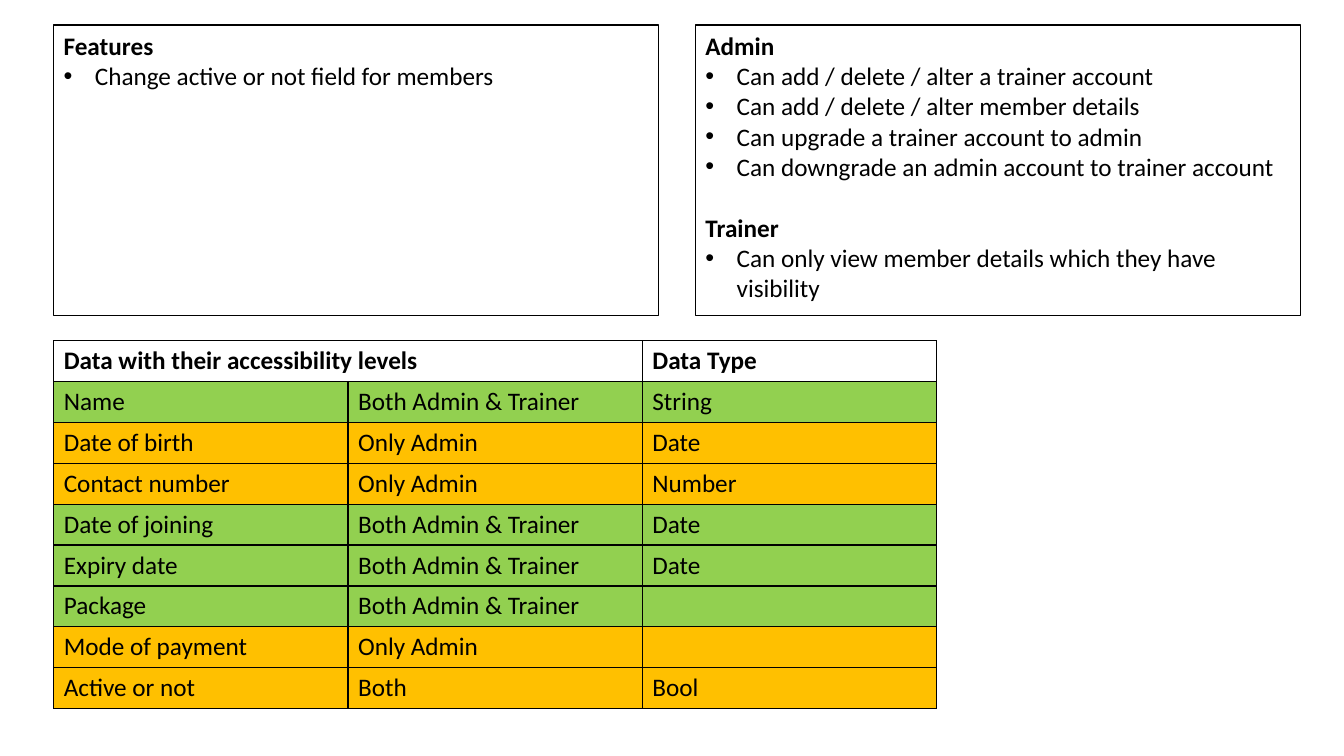
"""Build the slide of user roles, features and data accessibility levels."""
from dataclasses import dataclass

from lxml import etree
from pptx import Presentation
from pptx.dml.color import RGBColor
from pptx.enum.shapes import MSO_SHAPE
from pptx.enum.text import MSO_ANCHOR, PP_ALIGN
from pptx.oxml.ns import qn
from pptx.util import Inches, Length, Pt

RECTANGLE = MSO_SHAPE.RECTANGLE
TOP = MSO_ANCHOR.TOP
LEFT = PP_ALIGN.LEFT
BLANK_LAYOUT = 6
BORDER_TAGS = ("a:lnL", "a:lnR", "a:lnT", "a:lnB")
SLIDE_WIDTH, SLIDE_HEIGHT = Inches(13.33), Inches(7.5)


@dataclass(frozen=True)
class Theme:
    """Colours, font and type sizes of the slide."""

    font: str = "Calibri"
    size: Length = Pt(18)
    section_gap: Length = Pt(22)
    line_width: Length = Pt(1)
    bullet_indent: Length = Inches(0.31)
    ink: str = "000000"
    paper: str = "FFFFFF"
    shared: str = "92D050"
    restricted: str = "FFC000"


@dataclass(frozen=True)
class Section:
    """A bold heading with its bullets."""

    heading: str
    bullets: tuple[str, ...]


@dataclass(frozen=True)
class Panel:
    """A bordered box of sections, placed by its left percentage."""

    left: float
    sections: tuple[Section, ...]


@dataclass(frozen=True)
class Field:
    """A data field with its access level and type."""

    name: str
    access: str
    data_type: str
    color: str


THEME = Theme()
MARGIN_LEFT, PANEL_WIDTH, PANEL_GAP, COLUMN_WIDTH = 4, 45, 2.75, 21.9
MARGIN_TOP, PANEL_HEIGHT, ROW_HEIGHT = 3.33, 38.4, 5.41
TABLE_TOP = MARGIN_TOP + PANEL_HEIGHT + MARGIN_TOP
COLUMN_COUNT = 3

PANELS = (
    Panel(MARGIN_LEFT, (
        Section("Features", ("Change active or not field for members",)),
    )),
    Panel(MARGIN_LEFT + PANEL_WIDTH + PANEL_GAP, (
        Section("Admin", (
            "Can add / delete / alter a trainer account",
            "Can add / delete / alter member details",
            "Can upgrade a trainer account to admin",
            "Can downgrade an admin account to trainer account",
        )),
        Section("Trainer", (
            "Can only view member details which they have visibility",
        )),
    )),
)

HEADER = ("Data with their accessibility levels", "", "Data Type")
EVERYONE, ADMIN_ONLY = "Both Admin & Trainer", "Only Admin"
FIELDS = (
    Field("Name", EVERYONE, "String", THEME.shared),
    Field("Date of birth", ADMIN_ONLY, "Date", THEME.restricted),
    Field("Contact number", ADMIN_ONLY, "Number", THEME.restricted),
    Field("Date of joining", EVERYONE, "Date", THEME.shared),
    Field("Expiry date", EVERYONE, "Date", THEME.shared),
    Field("Package", EVERYONE, "", THEME.shared),
    Field("Mode of payment", ADMIN_ONLY, "", THEME.restricted),
    Field("Active or not", "Both", "Bool", THEME.restricted),
)


def across(percent: float) -> Length:
    """Return a percentage of the slide width."""
    return Length(round(SLIDE_WIDTH * percent / 100))


def down(percent: float) -> Length:
    """Return a percentage of the slide height."""
    return Length(round(SLIDE_HEIGHT * percent / 100))


def write(paragraph, text: str, bold: bool) -> None:
    """Set and format the text of a paragraph."""
    paragraph.text = text
    paragraph.alignment = LEFT
    for run in paragraph.runs:
        run.font.name = THEME.font
        run.font.size = THEME.size
        run.font.bold = bold
        run.font.color.rgb = RGBColor.from_string(THEME.ink)


def add_bullet(paragraph) -> None:
    """Give a paragraph a hanging round bullet."""
    properties = paragraph._p.get_or_add_pPr()
    properties.set("marL", str(THEME.bullet_indent))
    properties.set("indent", str(-THEME.bullet_indent))
    etree.SubElement(properties, qn("a:buFont"), typeface="Arial")
    etree.SubElement(properties, qn("a:buChar"), char="•")


def draw_panel(slide, panel: Panel) -> None:
    """Draw a bordered panel with its sections."""
    shape = slide.shapes.add_shape(
        RECTANGLE, across(panel.left), down(MARGIN_TOP),
        across(PANEL_WIDTH), down(PANEL_HEIGHT))
    shape.shadow.inherit = False
    shape.fill.solid()
    shape.fill.fore_color.rgb = RGBColor.from_string(THEME.paper)
    shape.line.color.rgb = RGBColor.from_string(THEME.ink)
    shape.line.width = THEME.line_width
    frame = shape.text_frame
    frame.word_wrap = True
    frame.vertical_anchor = TOP
    for index, section in enumerate(panel.sections):
        heading = frame.add_paragraph() if index else frame.paragraphs[0]
        write(heading, section.heading, True)
        if index:
            heading.space_before = THEME.section_gap
        for text in section.bullets:
            bullet = frame.add_paragraph()
            write(bullet, text, False)
            add_bullet(bullet)


def add_borders(cell) -> None:
    """Outline all four sides of a cell."""
    properties = cell._tc.get_or_add_tcPr()
    for position, tag in enumerate(BORDER_TAGS):
        border = etree.Element(qn(tag), w=str(THEME.line_width))
        fill = etree.SubElement(border, qn("a:solidFill"))
        etree.SubElement(fill, qn("a:srgbClr"), val=THEME.ink)
        properties.insert(position, border)


def draw_table(slide, fields: tuple[Field, ...]) -> None:
    """Draw the table of data fields under its header."""
    rows = [(HEADER, THEME.paper)]
    rows += [((field.name, field.access, field.data_type), field.color)
             for field in fields]
    table = slide.shapes.add_table(
        len(rows), COLUMN_COUNT, across(MARGIN_LEFT), down(TABLE_TOP),
        across(COLUMN_WIDTH * COLUMN_COUNT),
        down(ROW_HEIGHT * len(rows))).table
    table.horz_banding = False
    for column in table.columns:
        column.width = across(COLUMN_WIDTH)
    for row_index, (texts, color) in enumerate(rows):
        table.rows[row_index].height = down(ROW_HEIGHT)
        for column_index, text in enumerate(texts):
            cell = table.cell(row_index, column_index)
            write(cell.text_frame.paragraphs[0], text, row_index == 0)
            cell.fill.solid()
            cell.fill.fore_color.rgb = RGBColor.from_string(color)
            add_borders(cell)
    table.cell(0, 0).merge(table.cell(0, 1))


def main() -> None:
    """Create and save the presentation."""
    presentation = Presentation()
    presentation.slide_width = SLIDE_WIDTH
    presentation.slide_height = SLIDE_HEIGHT
    layout = presentation.slide_layouts[BLANK_LAYOUT]
    slide = presentation.slides.add_slide(layout)
    for panel in PANELS:
        draw_panel(slide, panel)
    draw_table(slide, FIELDS)
    presentation.save("out.pptx")


main()
